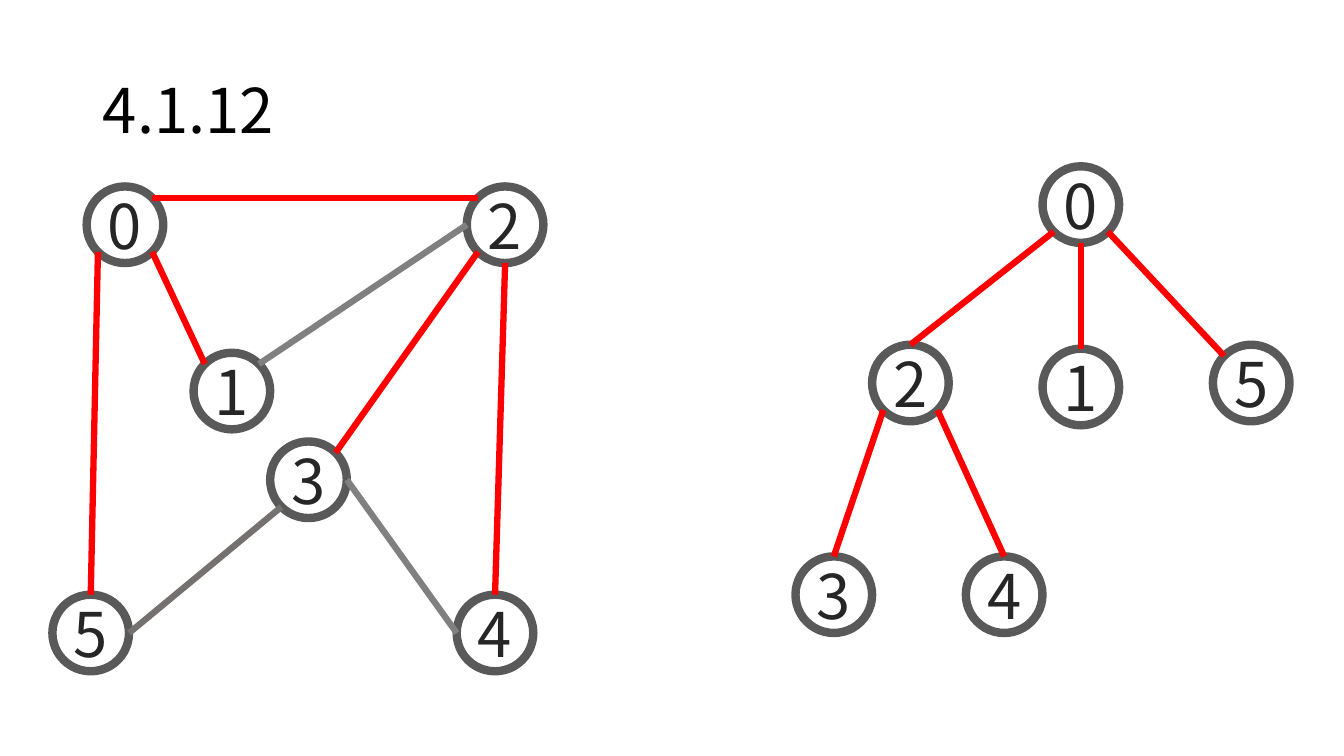
"""Build slide 4.1.12: a graph and its spanning tree."""
from math import cos, radians, sin

from lxml.etree import SubElement
from pptx import Presentation
from pptx.dml.color import RGBColor
from pptx.enum.shapes import MSO_CONNECTOR, MSO_SHAPE
from pptx.enum.text import MSO_ANCHOR, PP_ALIGN
from pptx.oxml.ns import qn
from pptx.util import Inches, Pt

COLORS = {"title": "000000", "digit": "262626", "ring": "595959",
          "tree": "FF0000", "rest": "808080", "dim": "767171"}
FONT = "Noto Sans CJK SC"
SIZE = 0.76
TOP, TOP_LEFT, LEFT, LOW_LEFT, LOW, LOW_RIGHT, RIGHT, TOP_RIGHT = range(8)


def style(frame, color):
    frame.vertical_anchor = MSO_ANCHOR.MIDDLE
    font = frame.paragraphs[0].runs[0].font
    font.name, font.size = FONT, Pt(44)
    font.color.rgb = RGBColor.from_string(COLORS[color])


def site(spot, index):
    angle = radians(90 + 45 * index)
    half = SIZE / 2
    return (Inches(spot[0] + half + half * cos(angle)),
            Inches(spot[1] + half - half * sin(angle)))


deck = Presentation()
deck.slide_width, deck.slide_height = Inches(13.33), Inches(7.5)
slide = deck.slides.add_slide(deck.slide_layouts[5])

title = slide.shapes.title
title.left, title.top = Inches(0.92), Inches(0.4)
title.width, title.height = Inches(11.5), Inches(1.45)
title.text_frame.text = "4.1.12"
para = title.text_frame.paragraphs[0]
para.alignment, para.line_spacing = PP_ALIGN.LEFT, 0.9
style(title.text_frame, "title")

graph = {"0": (0.86, 1.85), "2": (4.63, 1.85), "3": (2.68, 4.38),
         "5": (0.52, 5.9), "4": (4.53, 5.9), "1": (1.92, 3.5)}
links = [("0", TOP_RIGHT, "2", TOP_LEFT, "tree"),
         ("1", TOP_LEFT, "0", LOW_RIGHT, "tree"),
         ("0", LOW_LEFT, "5", TOP, "tree"),
         ("2", LOW_LEFT, "3", TOP_RIGHT, "tree"),
         ("2", LOW, "4", TOP, "tree"),
         ("5", RIGHT, "3", LOW_LEFT, "dim"),
         ("3", RIGHT, "4", LEFT, "rest"),
         ("1", TOP_RIGHT, "2", LEFT, "rest")]

tree = {"0": (10.34, 1.65), "4": (9.58, 5.52), "3": (7.89, 5.52),
        "2": (8.65, 3.42), "1": (10.34, 3.46), "5": (12.03, 3.42)}
limbs = [("0", LOW, "1", TOP, "tree"),
         ("0", LOW_LEFT, "2", TOP, "tree"),
         ("0", LOW_RIGHT, "5", TOP_LEFT, "tree"),
         ("2", LOW_LEFT, "3", TOP, "tree"),
         ("2", LOW_RIGHT, "4", TOP, "tree")]

for spots, edges, grouped in ((graph, links, False), (tree, limbs, True)):
    shapes = slide.shapes.add_group_shape().shapes if grouped else slide.shapes
    nodes = {}
    for digit, (x, y) in spots.items():
        node = shapes.add_shape(MSO_SHAPE.OVAL, Inches(x), Inches(y),
                                Inches(SIZE), Inches(SIZE))
        node.shadow.inherit = False
        node.fill.background()
        node.line.color.rgb = RGBColor.from_string(COLORS["ring"])
        node.line.width = Pt(6)
        frame = node.text_frame
        frame.text = digit
        frame.margin_left = frame.margin_right = 0
        frame.paragraphs[0].alignment = PP_ALIGN.CENTER
        style(frame, "digit")
        nodes[digit] = node
    for start, out, end, into, color in edges:
        edge = shapes.add_connector(MSO_CONNECTOR.STRAIGHT,
                                    *site(spots[start], out),
                                    *site(spots[end], into))
        edge.line.color.rgb = RGBColor.from_string(COLORS[color])
        edge.line.width = Pt(4.5)
        root = edge.element
        SubElement(root.spPr, qn("a:effectLst"))
        glue = root.find(".//" + qn("p:cNvCxnSpPr"))
        for tag, node, index in (("a:stCxn", nodes[start], out),
                                 ("a:endCxn", nodes[end], into)):
            SubElement(glue, qn(tag), id=str(node.shape_id), idx=str(index))

deck.save("out.pptx")
